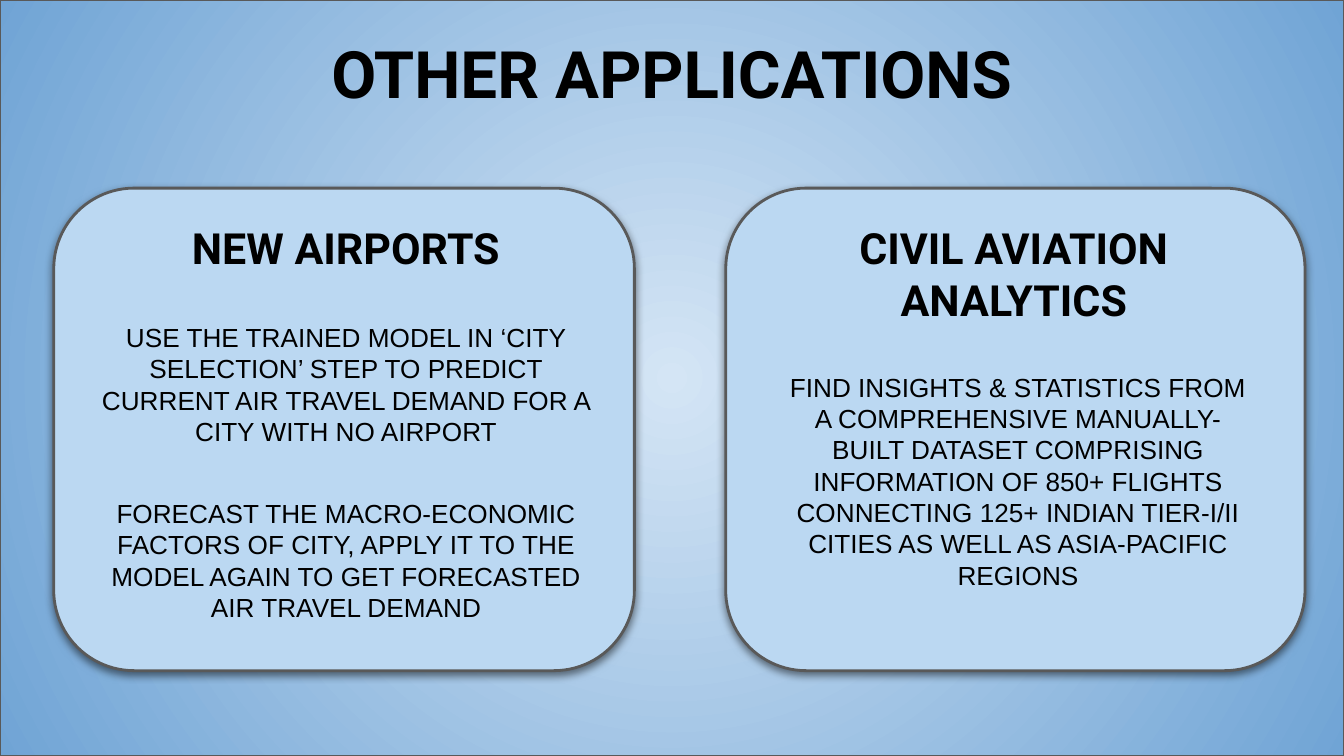
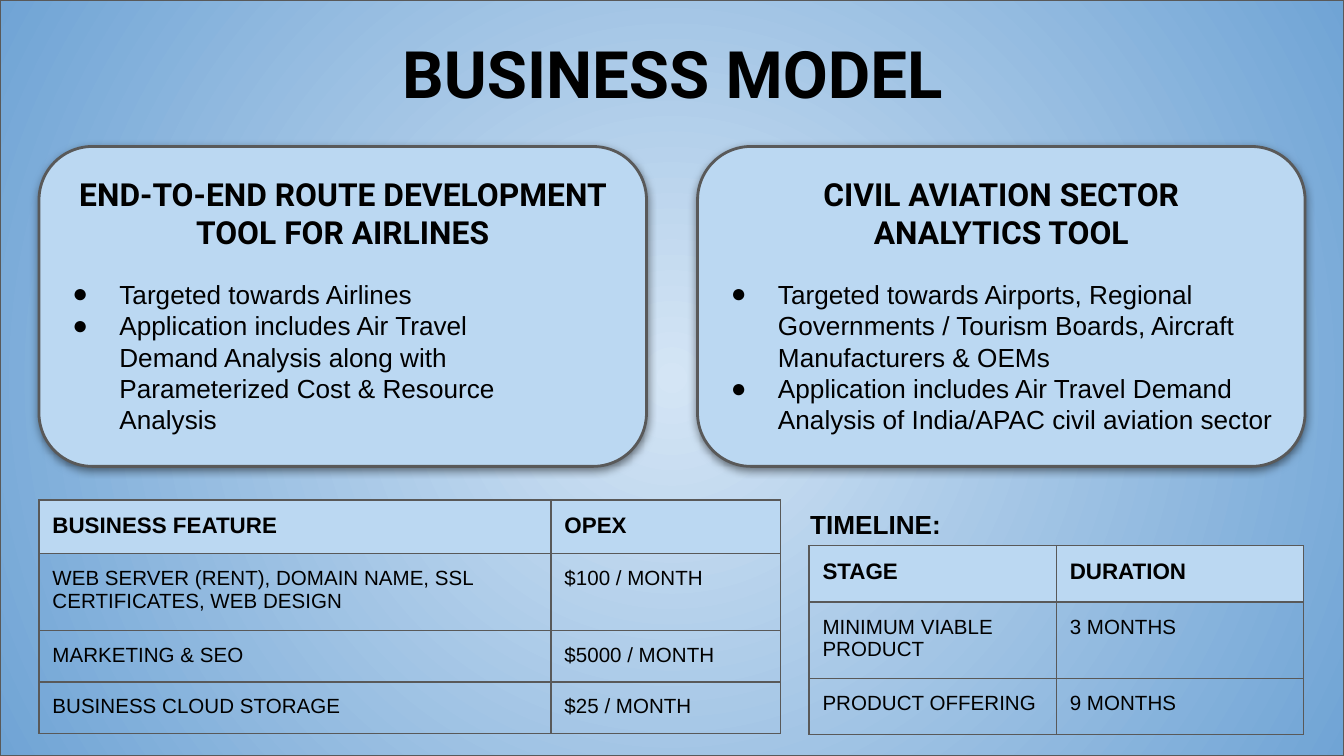
from dataclasses import dataclass

from lxml import etree
from pptx import Presentation
from pptx import util as u
from pptx.dml.color import RGBColor
from pptx.enum import shapes, text
from pptx.oxml import ns

COLORS = {
    "ink": "000000",
    "card": "BBD8F2",
    "outline": "595959",
    "glow": "D4E5F5",
    "edge": "70A4D5",
}
HEADING_FONT, BODY_FONT = "Roboto", "Arial"
PAGE_WIDTH = 10
PAGE_HEIGHT = PAGE_WIDTH * 9 / 16
INSET = u.Inches(0.1)
CENTER, LEFT = text.PP_ALIGN.CENTER, text.PP_ALIGN.LEFT


@dataclass(frozen=True)
class Area:
    left: float
    top: float
    width: float
    height: float

    def lengths(self):
        return [u.Inches(n) for n in (self.left, self.top, self.width, self.height)]


@dataclass(frozen=True)
class Passage:
    area: Area
    words: str
    bulleted: bool = False


@dataclass(frozen=True)
class Card:
    area: Area
    heading: Passage
    heading_size: int
    passages: tuple[Passage, ...]


@dataclass(frozen=True)
class Grid:
    left: float
    top: float
    columns: tuple[float, ...]
    row_heights: tuple[float, ...]
    rows: tuple[tuple[str, ...], ...]


APPLICATION_CARDS = (
    Card(
        Area(0.4, 1.4, 4.32, 3.59),
        Passage(Area(0.59, 1.55, 3.97, 0.59), "NEW AIRPORTS"),
        23,
        (
            Passage(Area(0.6, 2.29, 3.95, 1.14),
                    "USE THE TRAINED MODEL IN ‘CITY SELECTION’ STEP TO PREDICT "
                    "CURRENT AIR TRAVEL DEMAND FOR A CITY WITH NO AIRPORT"),
            Passage(Area(0.6, 3.6, 3.95, 1.14),
                    "FORECAST THE MACRO-ECONOMIC FACTORS OF CITY, APPLY IT TO THE "
                    "MODEL AGAIN TO GET FORECASTED AIR TRAVEL DEMAND"),
        ),
    ),
    Card(
        Area(5.4, 1.4, 4.31, 3.59),
        Passage(Area(5.56, 1.55, 3.97, 0.98), "CIVIL AVIATION ANALYTICS"),
        23,
        (
            Passage(Area(5.74, 2.66, 3.67, 1.85),
                    "FIND INSIGHTS & STATISTICS FROM A COMPREHENSIVE MANUALLY-BUILT "
                    "DATASET COMPRISING INFORMATION OF 850+ FLIGHTS CONNECTING 125+ "
                    "INDIAN TIER-I/II CITIES AS WELL AS ASIA-PACIFIC REGIONS"),
        ),
    ),
)


def tool_card(left: float, heading: str, points: str, points_width: float) -> Card:
    return Card(
        Area(left, 1.09, 4.52, 2.38),
        Passage(Area(left, 1.2, 4.52, 0.77), heading),
        17,
        (Passage(Area(left, 1.97, points_width, 1.38), points, bulleted=True),),
    )


TOOL_CARDS = (
    tool_card(0.29, "END-TO-END ROUTE DEVELOPMENT TOOL FOR AIRLINES",
              "Targeted towards Airlines\n"
              "Application includes Air Travel Demand Analysis along with "
              "Parameterized Cost & Resource Analysis", 4.07),
    tool_card(5.19, "CIVIL AVIATION SECTOR\nANALYTICS TOOL",
              "Targeted towards Airports, Regional Governments / Tourism Boards, "
              "Aircraft Manufacturers & OEMs\n"
              "Application includes Air Travel Demand Analysis of India/APAC civil "
              "aviation sector", 4.52),
)

COSTS = Grid(0.29, 3.72, (3.81, 1.71), (0.4, 0.57, 0.38, 0.38), (
    ("BUSINESS FEATURE", "OPEX"),
    ("WEB SERVER (RENT), DOMAIN NAME, SSL CERTIFICATES, WEB DESIGN", "$100 / MONTH"),
    ("MARKETING & SEO", "$5000 / MONTH"),
    ("BUSINESS CLOUD STORAGE", "$25 / MONTH"),
))
TIMELINE = Grid(6.02, 4.06, (1.84, 1.84), (0.42, 0.42, 0.42), (
    ("STAGE", "DURATION"),
    ("MINIMUM VIABLE PRODUCT", "3 MONTHS"),
    ("PRODUCT OFFERING", "9 MONTHS"),
))


def color(name: str) -> RGBColor:
    return RGBColor.from_string(COLORS[name])


def add_node(parent, tag: str, **attributes):
    node = etree.SubElement(parent, ns.qn(tag))
    for key, value in attributes.items():
        node.set(key, str(value))
    return node


def add_bullet(para) -> None:
    properties = para._p.get_or_add_pPr()
    properties.set("marL", str(u.Inches(0.5)))
    properties.set("indent", str(u.Inches(-0.35)))
    add_node(add_node(properties, "a:buClr"), "a:srgbClr", val=COLORS["ink"])
    add_node(properties, "a:buFont", typeface=BODY_FONT)
    add_node(properties, "a:buChar", char="●")


def write(frame, words: str, *, size: int, font: str = BODY_FONT, bold: bool = False,
          align=LEFT, bulleted: bool = False) -> None:
    """Fill a text frame, one paragraph for each line of words."""
    for index, line in enumerate(words.split("\n")):
        para = frame.add_paragraph() if index else frame.paragraphs[0]
        para.alignment = align
        if bulleted:
            add_bullet(para)
        span = para.add_run()
        span.text = line
        span.font.size = u.Pt(size)
        span.font.name = font
        span.font.bold = bold
        span.font.color.rgb = color("ink")


def set_up_frame(frame) -> None:
    frame.word_wrap = True
    frame.auto_size = text.MSO_AUTO_SIZE.SHAPE_TO_FIT_TEXT
    frame.vertical_anchor = text.MSO_ANCHOR.TOP
    frame.margin_left = frame.margin_right = INSET
    frame.margin_top = frame.margin_bottom = INSET


def add_text(page, area: Area, words: str, **style) -> None:
    box = page.shapes.add_textbox(*area.lengths())
    set_up_frame(box.text_frame)
    write(box.text_frame, words, **style)


def add_outlined(page, kind, area: Area, line_width: float):
    shape = page.shapes.add_shape(kind, *area.lengths())
    shape.shadow.inherit = False
    shape.line.color.rgb = color("outline")
    shape.line.width = u.Pt(line_width)
    return shape


def add_backdrop(page) -> None:
    """Lay a radial glow over the whole page, behind the title."""
    backdrop = add_outlined(page, shapes.MSO_SHAPE.RECTANGLE,
                            Area(0, 0, PAGE_WIDTH, PAGE_HEIGHT), 0.75)
    backdrop.fill.gradient()
    for stop, name in zip(backdrop.fill.gradient_stops, ("glow", "edge")):
        stop.color.rgb = color(name)
    gradient = backdrop.element.spPr.find(ns.qn("a:gradFill"))
    gradient.remove(gradient.find(ns.qn("a:lin")))
    circle = add_node(gradient, "a:path", path="circle")
    add_node(circle, "a:fillToRect", l=50000, t=50000, r=50000, b=50000)
    page.shapes.title.element.addprevious(backdrop.element)


def add_page(deck, title: str, area: Area):
    page = deck.slides.add_slide(deck.slide_layouts[5])
    add_backdrop(page)
    box = page.shapes.title
    box.left, box.top, box.width, box.height = area.lengths()
    set_up_frame(box.text_frame)
    write(box.text_frame, title, size=35, font=HEADING_FONT, bold=True, align=CENTER)
    return page


def add_card(page, card: Card) -> None:
    panel = add_outlined(page, shapes.MSO_SHAPE.ROUNDED_RECTANGLE, card.area, 1.5)
    panel.fill.solid()
    panel.fill.fore_color.rgb = color("card")
    effects = panel.element.spPr.find(ns.qn("a:effectLst"))
    shadow = add_node(effects, "a:outerShdw", blurRad=u.Pt(4.5), dist=u.Pt(1.5),
                      dir=5400000, algn="bl", rotWithShape=0)
    tint = add_node(shadow, "a:srgbClr", val=COLORS["ink"])
    add_node(tint, "a:alpha", val=50000)

    add_text(page, card.heading.area, card.heading.words, size=card.heading_size,
             font=HEADING_FONT, bold=True, align=CENTER)
    for passage in card.passages:
        add_text(page, passage.area, passage.words, size=14, bulleted=passage.bulleted,
                 align=LEFT if passage.bulleted else CENTER)


def add_borders(cell) -> None:
    properties = cell._tc.get_or_add_tcPr()
    for side in ("a:lnL", "a:lnR", "a:lnT", "a:lnB"):
        line = add_node(properties, side, w=u.Pt(0.75))
        add_node(add_node(line, "a:solidFill"), "a:srgbClr", val=COLORS["outline"])


def add_grid(page, grid: Grid) -> None:
    area = Area(grid.left, grid.top, sum(grid.columns), sum(grid.row_heights))
    table = page.shapes.add_table(len(grid.rows), len(grid.columns),
                                  *area.lengths()).table
    table.first_row = table.horz_banding = False
    for column, width in zip(table.columns, grid.columns):
        column.width = u.Inches(width)
    for row, height, entries in zip(table.rows, grid.row_heights, grid.rows):
        header = entries is grid.rows[0]
        row.height = u.Inches(height)
        for cell, words in zip(row.cells, entries):
            cell.margin_left = cell.margin_right = INSET
            cell.margin_top = cell.margin_bottom = INSET
            add_borders(cell)
            if header:
                cell.fill.solid()
                cell.fill.fore_color.rgb = color("card")
            else:
                cell.fill.background()
            write(cell.text_frame, words, size=12 if header else 11, bold=header)


def main() -> None:
    deck = Presentation()
    deck.slide_width = u.Inches(PAGE_WIDTH)
    deck.slide_height = u.Inches(PAGE_HEIGHT)

    applications = add_page(deck, "OTHER APPLICATIONS", Area(0, 0.15, 10, 0.79))
    for card in APPLICATION_CARDS:
        add_card(applications, card)

    business = add_page(deck, "BUSINESS MODEL", Area(1.43, 0.15, 7.15, 0.79))
    for card in TOOL_CARDS:
        add_card(business, card)
    for grid in (COSTS, TIMELINE):
        add_grid(business, grid)
    add_text(business, Area(5.93, 3.68, 2.87, 0.44), "TIMELINE:", size=14, bold=True)

    deck.save("out.pptx")


if __name__ == "__main__":
    main()
